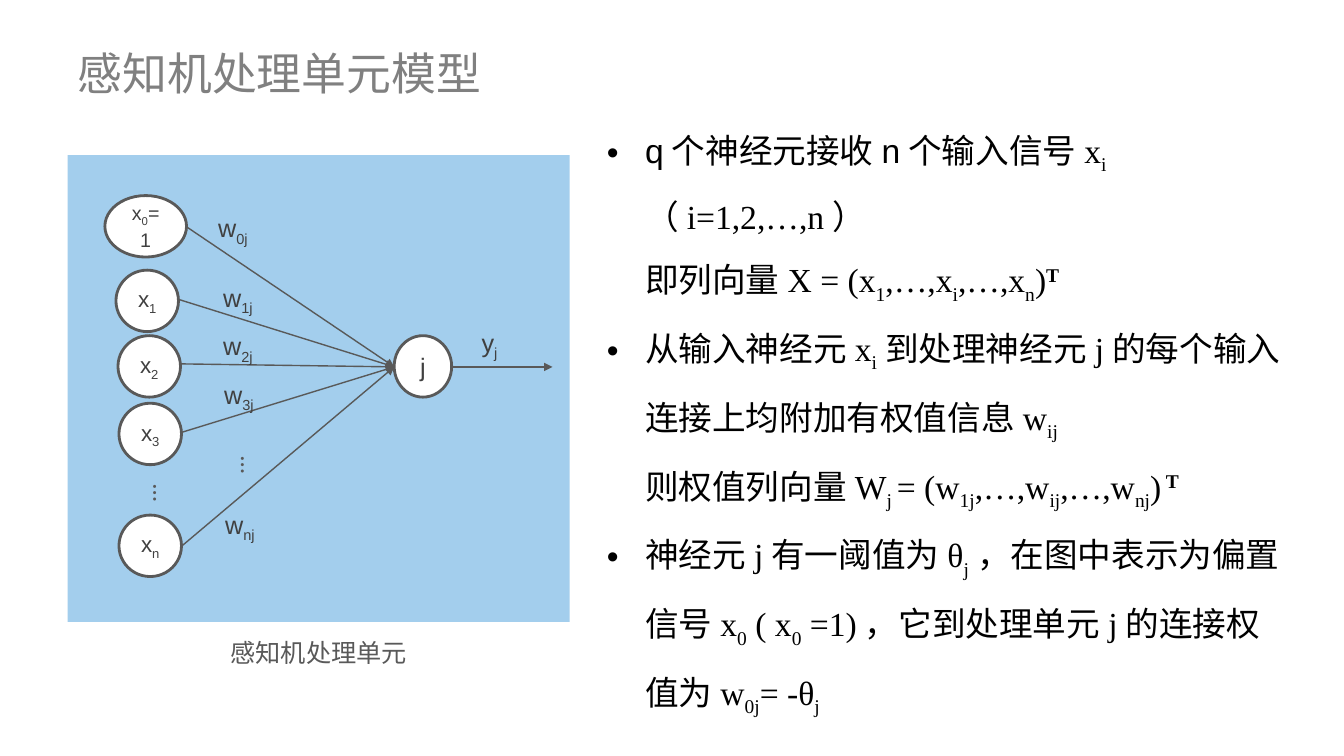
from dataclasses import dataclass

from lxml import etree
from pptx import Presentation
from pptx.dml.color import RGBColor
from pptx.enum.shapes import MSO_CONNECTOR, MSO_SHAPE
from pptx.enum.text import MSO_ANCHOR, MSO_AUTO_SIZE, PP_ALIGN
from pptx.oxml.ns import qn
from pptx.util import Inches, Pt

STRAIGHT = MSO_CONNECTOR.STRAIGHT
OVAL, RECT = MSO_SHAPE.OVAL, MSO_SHAPE.RECTANGLE
TOP, MIDDLE = MSO_ANCHOR.TOP, MSO_ANCHOR.MIDDLE
LEFT, CENTER = PP_ALIGN.LEFT, PP_ALIGN.CENTER
GROW = MSO_AUTO_SIZE.SHAPE_TO_FIT_TEXT
CJK, SERIF, SANS = "Noto Sans CJK SC", "Times New Roman", "Arial"
GRAY, DARK, WHITE = "595959", "404040", "FFFFFF"
NODE_H = 0.61
HUB_X, HUB_Y = 3.91, 3.64


@dataclass
class Neuron:
    """An input neuron with the place of its weight label."""
    text: str
    left: float
    top: float
    width: float
    size: int
    start_y: float
    weight: str
    label_left: float
    label_top: float


@dataclass
class Point:
    """A body paragraph, bulleted or continuing the one above."""
    text: str
    bullet: bool


NEURONS = [
    Neuron("x|_0|=1", 1.04, 1.94, 0.81, 14, 2.25, "w|_0j", 2.06, 2.06),
    Neuron("x|_1", 1.15, 2.68, 0.62, 16, 2.97, "w|_1j", 2.11, 2.75),
    Neuron("x|_2", 1.17, 3.33, 0.62, 16, 3.61, "w|_2j", 2.11, 3.23),
    Neuron("x|_3", 1.18, 4.0, 0.62, 16, 4.29, "w|_3j", 2.12, 3.71),
    Neuron("x|_n", 1.18, 5.11, 0.62, 16, 5.42, "w|_nj", 2.13, 5.0),
]
POINTS = [
    Point("~q个神经元接收n个输入信号|x|_i|（i=1,2,…,n）", True),
    Point("即列向量|X = (x|_1|,…,x|_i|,…,x|_n|)|^T", False),
    Point("从输入神经元|x|_i|到处理神经元|j|的每个输入连接上均附加有权值信息|w|_ij", True),
    Point("则权值列向量|W|_j |= (w|_1j|,…,w|_ij|,…,w|_nj|)|^ T", False),
    Point("神经元j有一阈值为θ|_j|，在图中表示为偏置信号x|_0| ( x|_0"
          "| =1)，它到处理单元j的连接权值为w|_0j|= -θ|_j", True),
]


def rgb(value: str) -> RGBColor:
    """Turn a hex string into a colour."""
    return RGBColor.from_string(value)


def write(p, text: str, *, size: int, color: str, font: str = SANS,
          ea: str = "", align=CENTER) -> None:
    """Write runs split at bars: _ lowers, ^ raises in bold, ~ sets Arial."""
    p.alignment = align
    for part in text.split("|"):
        mark = part[0] if part[0] in "_^~" else ""
        r = p.add_run()
        r.text = part[len(mark):]
        r.font.size = Pt(size)
        r.font.bold = mark == "^"
        r.font.color.rgb = rgb(color)
        r.font.name = SANS if mark == "~" else font
        rPr = r.font._element
        if ea:
            etree.SubElement(rPr, qn("a:ea")).set("typeface", ea)
        if mark in ("_", "^"):
            rPr.set("baseline", "-25000" if mark == "_" else "30000")


def add_text(s, left: float, top: float, width: float, height: float, *,
             wrap: bool = True, anchor=TOP, grow: bool = True):
    """Add a text box and return its text frame."""
    box = s.shapes.add_textbox(Inches(left), Inches(top), Inches(width), Inches(height))
    tf = box.text_frame
    tf.word_wrap = wrap
    tf.vertical_anchor = anchor
    if grow:
        tf.auto_size = GROW
    return tf


def add_shape(s, kind, left: float, top: float, width: float, height: float,
              fill: str, line: str = ""):
    """Add a flat preset shape."""
    sp = s.shapes.add_shape(kind, Inches(left), Inches(top), Inches(width), Inches(height))
    sp.shadow.inherit = False
    sp.fill.solid()
    sp.fill.fore_color.rgb = rgb(fill)
    if line:
        sp.line.color.rgb = rgb(line)
        sp.line.width = Pt(2)
    else:
        sp.line.fill.background()
    return sp


def add_node(s, text: str, left: float, top: float, width: float, size: int) -> None:
    """Add a neuron ellipse."""
    tf = add_shape(s, OVAL, left, top, width, NODE_H, WHITE, GRAY).text_frame
    tf.word_wrap = True
    tf.vertical_anchor = MIDDLE
    write(tf.paragraphs[0], text, size=size, color=DARK)


def add_arrow(s, x1: float, y1: float, x2: float, y2: float) -> None:
    """Add a thin arrow."""
    c = s.shapes.add_connector(STRAIGHT, Inches(x1), Inches(y1), Inches(x2), Inches(y2))
    c.line.color.rgb = rgb(GRAY)
    c.line.width = Pt(1)
    etree.SubElement(c.line._get_or_add_ln(), qn("a:tailEnd")).set("type", "triangle")
    etree.SubElement(c._element.spPr, qn("a:effectLst"))


def add_label(s, text: str, left: float, top: float, width: float = 0.5) -> None:
    """Add a label beside an arrow."""
    tf = add_text(s, left, top, width, 0.4, wrap=False)
    write(tf.paragraphs[0], text, size=18, color=DARK)


def add_dots(s, left: float, top: float) -> None:
    """Add a vertical ellipsis."""
    tf = add_text(s, left, top, 0.5, 0.3)
    tf._element.bodyPr.set("vert", "eaVert")
    write(tf.paragraphs[0], "…", size=18, color=GRAY, font="Calibri", align=LEFT)


def add_points(s) -> None:
    """Add the body text."""
    tf = add_text(s, 5.92, 1.01, 6.88, 4.95)
    for i, point in enumerate(POINTS):
        p = tf.add_paragraph() if i else tf.paragraphs[0]
        p.line_spacing = 1.5
        write(p, point.text, size=24, color="000000", font=SERIF, ea=CJK, align=LEFT)
        pPr = p._p.get_or_add_pPr()
        pPr.set("marL", str(Inches(0.38)))
        pPr.set("indent", str(-Inches(0.38) if point.bullet else 0))
        if point.bullet:
            etree.SubElement(pPr, qn("a:buFont")).set("typeface", SANS)
            etree.SubElement(pPr, qn("a:buChar")).set("char", "•")


def add_diagram(s) -> None:
    """Add the perceptron unit with its inputs, weights and output."""
    add_shape(s, RECT, 0.67, 1.54, 4.98, 4.63, "A3CEED")
    for n in NEURONS:
        add_node(s, n.text, n.left, n.top, n.width, n.size)
    add_node(s, "j", HUB_X, 3.33, 0.57, 18)
    for n in NEURONS:
        add_arrow(s, n.left + n.width, n.start_y, HUB_X, HUB_Y)
        add_label(s, n.weight, n.label_left, n.label_top)
    add_arrow(s, 4.49, HUB_Y, 5.48, HUB_Y)
    add_label(s, "y|_j", 4.65, 3.2, 0.41)
    add_dots(s, 1.32, 4.71)
    add_dots(s, 2.19, 4.43)
    tf = add_text(s, 0.67, 6.05, 4.98, 0.84, anchor=MIDDLE, grow=False)
    write(tf.paragraphs[0], "感知机处理单元", size=18, color=GRAY, font=CJK, ea=CJK)


def main() -> None:
    """Build and save the slide."""
    prs = Presentation()
    prs.slide_width, prs.slide_height = Inches(13.33), Inches(7.5)
    s = prs.slides.add_slide(prs.slide_layouts[5])
    title = s.shapes.title
    title.left, title.top = Inches(0.67), Inches(0.3)
    title.width, title.height = Inches(12), Inches(0.84)
    title.text_frame.vertical_anchor = MIDDLE
    write(title.text_frame.paragraphs[0], "感知机处理单元模型", size=32,
          color="808080", font=CJK, ea=CJK, align=LEFT)
    add_points(s)
    add_diagram(s)
    prs.save("out.pptx")


if __name__ == "__main__":
    main()
